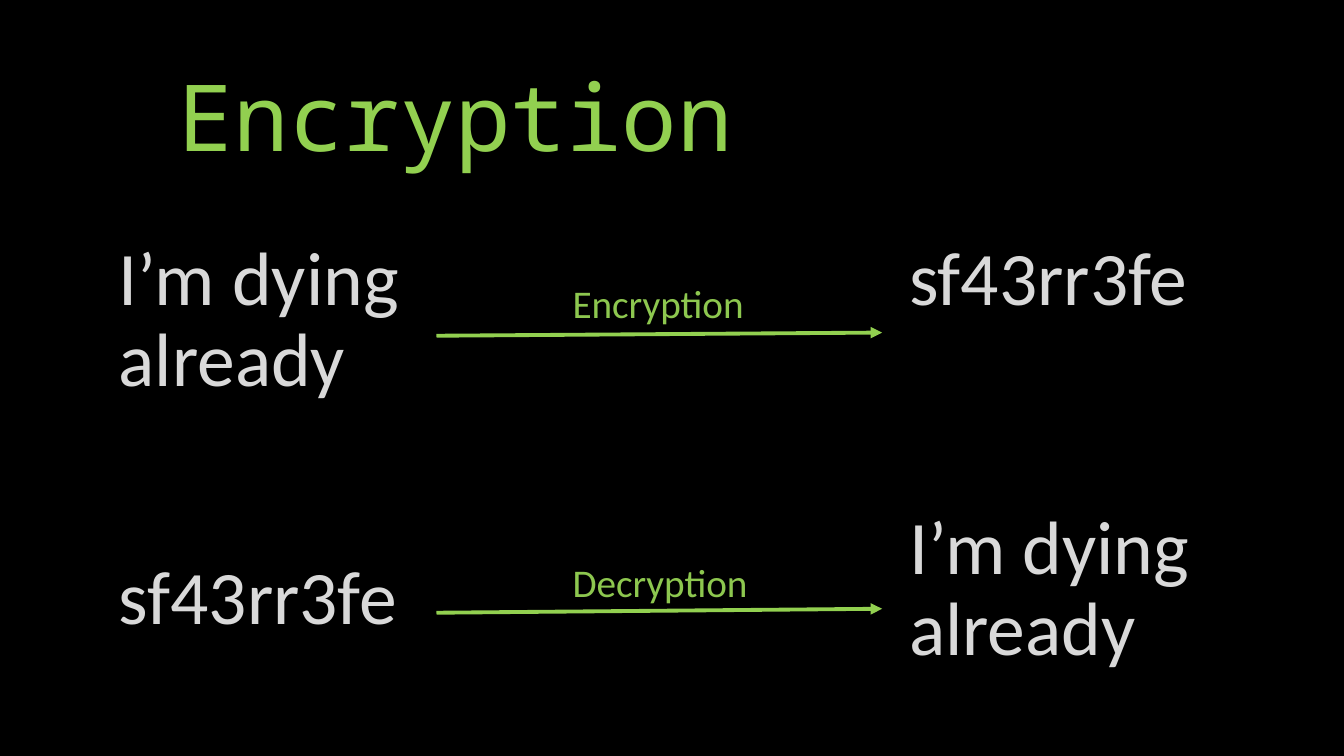
from lxml import etree
from pptx import Presentation
from pptx import util as u
from pptx.dml.color import RGBColor
from pptx.enum import shapes, text
from pptx.oxml.ns import qn

COLORS = {"background": "000000", "green": "92D050", "label": "8DC74F", "message": "D9D9D9"}
FORMATS = {
    "title": ({"name": "Noto Sans Mono", "size": u.Pt(66), "bold": False}, "green"),
    "message": ({"name": "Calibri", "size": u.Pt(54)}, "message"),
    "label": ({"name": "Calibri", "size": u.Pt(28)}, "label"),
}


class Deck:
    def __init__(self):
        self.prs = Presentation()
        self.prs.slide_width, self.prs.slide_height = u.Cm(33.87), u.Cm(19.05)
        self.s = self.prs.slides.add_slide(self.prs.slide_layouts[5])
        fill = self.s.background.fill
        fill.solid()
        fill.fore_color.rgb = self.color("background")

    def color(self, name):
        return RGBColor.from_string(COLORS[name])

    def fill_text(self, sp, words, style, anchor):
        tf = sp.text_frame
        frame = {"word_wrap": True, "auto_size": text.MSO_AUTO_SIZE.NONE,
                 "vertical_anchor": anchor}
        for key, value in frame.items():
            setattr(tf, key, value)
        p = tf.paragraphs[0]
        p.alignment, p.line_spacing = text.PP_ALIGN.LEFT, 0.9
        r = p.add_run()
        r.text = words
        font, color = FORMATS[style]
        for key, value in font.items():
            setattr(r.font, key, value)
        r.font.color.rgb = self.color(color)

    def title(self, words, x, y, w, h):
        sp = self.s.shapes.title
        for key, value in {"left": x, "top": y, "width": w, "height": h}.items():
            setattr(sp, key, u.Cm(value))
        self.fill_text(sp, words, "title", text.MSO_ANCHOR.BOTTOM)

    def text_box(self, words, style, x, y, w, h):
        sp = self.s.shapes.add_textbox(u.Cm(x), u.Cm(y), u.Cm(w), u.Cm(h))
        self.fill_text(sp, words, style, text.MSO_ANCHOR.TOP)

    def arrow(self, x1, y1, x2, y2):
        sp = self.s.shapes.add_connector(
            shapes.MSO_CONNECTOR.STRAIGHT, u.Cm(x1), u.Cm(y1), u.Cm(x2), u.Cm(y2))
        sp.line.color.rgb = self.color("green")
        sp.line.width = u.Pt(2.75)
        spPr = sp._element.spPr
        etree.SubElement(spPr.find(qn("a:ln")), qn("a:tailEnd"), type="triangle")
        etree.SubElement(spPr, qn("a:effectLst"))


def main():
    deck = Deck()
    deck.title("Encryption", 4.24, 1.27, 25.4, 3.18)

    # Each row: message in, its top, message out, its top, step, label top, arrow start and end
    plain, cipher = "I’m dying already", "sf43rr3fe"
    rows = [
        (plain, 5.92, cipher, 5.92, "Encryption", 7.04, 8.46, 8.38),
        (cipher, 13.97, plain, 12.7, "Decryption", 14.07, 15.44, 15.34),
    ]
    for source, source_y, result, result_y, step, step_y, start_y, end_y in rows:
        deck.text_box(source, "message", 2.74, source_y, 11, 2.54)
        deck.text_box(result, "message", 22.66, result_y, 11, 2.54)
        deck.arrow(11, start_y, 22.23, end_y)
        deck.text_box(step, "label", 14.18, step_y, 5.51, 1.32)

    deck.prs.save("out.pptx")


if __name__ == "__main__":
    main()
